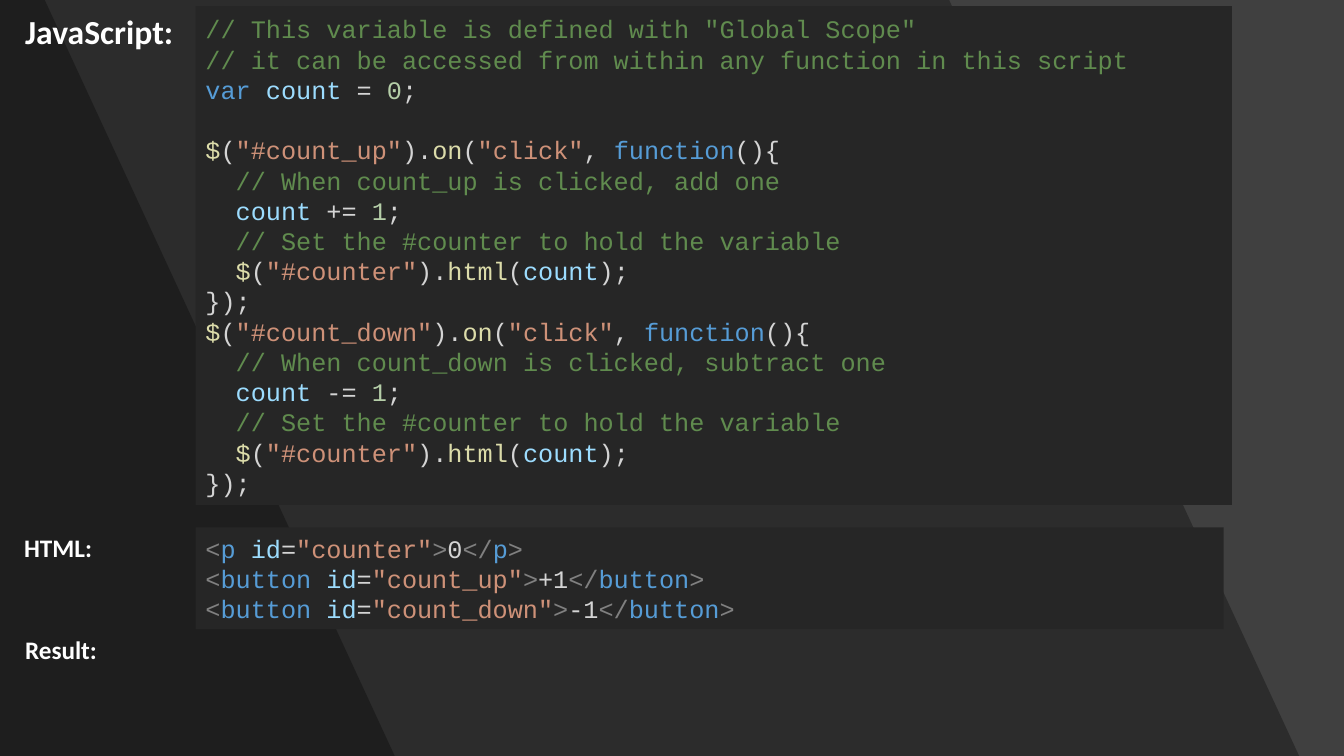
from lxml import etree
from pptx import Presentation
from pptx.dml.color import RGBColor
from pptx.enum.shapes import MSO_SHAPE
from pptx.enum.text import MSO_ANCHOR, PP_ALIGN
from pptx.oxml.ns import qn
from pptx.util import Pt

RECT = MSO_SHAPE.RECTANGLE
TOP, MIDDLE = MSO_ANCHOR.TOP, MSO_ANCHOR.MIDDLE
LEFT = PP_ALIGN.LEFT
LINE = 21.6

COLORS = {
    "background": "404040",
    "band": "000000",
    "panel": "262626",
    "label": "FFFFFF",
    "comment": "608B4E",
    "keyword": "569CD6",
    "name": "9CDCFE",
    "plain": "D4D4D4",
    "number": "B5CEA8",
    "call": "DCDCAA",
    "string": "CE9178",
    "bracket": "808080",
}


def rgb(key):
    return RGBColor.from_string(COLORS[key])


prs = Presentation()
prs.slide_width, prs.slide_height = Pt(960), Pt(540)
s = prs.slides.add_slide(prs.slide_layouts[6])
s.background.fill.solid()
s.background.fill.fore_color.rgb = rgb("background")

for top_right, bottom_right in [(678.24, 928.08), (31.68, 282.24)]:
    fb = s.shapes.build_freeform(0, 0, scale=Pt(1))
    fb.add_line_segments([(top_right, 0), (bottom_right, 540), (0, 540)], close=True)
    sp = fb.convert_to_shape()
    sp.shadow.inherit = False
    sp.fill.solid()
    sp.fill.fore_color.rgb = rgb("band")
    sp.line.fill.background()
    color = sp.fill._xPr.find(".//" + qn("a:srgbClr"))
    etree.SubElement(color, qn("a:alpha"), val="30000")

for text, x, y, w, h, size in [
    ("JavaScript:", 10.8, 4.3, 121.7, 36, 24),
    ("HTML:", 10.1, 376.6, 63.4, 28.8, 18),
    ("Result:", 10.8, 449.3, 66.2, 28.8, 18),
]:
    sp = s.shapes.add_textbox(Pt(x), Pt(y), Pt(w), Pt(h))
    tf = sp.text_frame
    tf.word_wrap = False
    tf.vertical_anchor = TOP
    p = tf.paragraphs[0]
    p.text = text
    p.font.name, p.font.size, p.font.bold = "Calibri", Pt(size), True
    p.font.color.rgb = rgb("label")

script = [
    [("comment", '// This variable is defined with "Global Scope"')],
    [("comment", "// it can be accessed from within any function in this script")],
    [("keyword", "var "), ("name", "count"), ("plain", " = "), ("number", "0"), ("plain", ";")],
]
gap_line = len(script)
for button, action, operator in [
    ("count_up", "add", "+="),
    ("count_down", "subtract", "-="),
]:
    script += [
        [("call", "$"), ("plain", "("), ("string", f'"#{button}"'), ("plain", ")."),
         ("call", "on"), ("plain", "("), ("string", '"click"'), ("plain", ", "),
         ("keyword", "function"), ("plain", "(){")],
        [("comment", f"  // When {button} is clicked, {action} one")],
        [("name", "  count"), ("plain", f" {operator} "), ("number", "1"), ("plain", ";")],
        [("comment", "  // Set the #counter to hold the variable")],
        [("call", "  $"), ("plain", "("), ("string", '"#counter"'), ("plain", ")."),
         ("call", "html"), ("plain", "("), ("name", "count"), ("plain", ");")],
        [("plain", "});")],
    ]

markup = [
    [("bracket", "<"), ("keyword", f"{tag} "), ("name", "id"), ("plain", "="),
     ("string", f'"{ident}"'), ("bracket", ">"), ("plain", content),
     ("bracket", "</"), ("keyword", tag), ("bracket", ">")]
    for tag, ident, content in [
        ("p", "counter", "0"),
        ("button", "count_up", "+1"),
        ("button", "count_down", "-1"),
    ]
]

for lines, y, w, h, gap in [
    (script, 4.3, 740.2, 356.4, gap_line),
    (markup, 376.6, 734.4, 72.7, None),
]:
    sp = s.shapes.add_shape(RECT, Pt(139.7), Pt(y), Pt(w), Pt(h))
    sp.shadow.inherit = False
    sp.fill.solid()
    sp.fill.fore_color.rgb = rgb("panel")
    sp.line.fill.background()
    tf = sp.text_frame
    tf.word_wrap = True
    tf.vertical_anchor = MIDDLE
    for i, line in enumerate(lines):
        p = tf.add_paragraph() if i else tf.paragraphs[0]
        p.alignment = LEFT
        p.line_spacing = Pt(LINE)
        p.space_before = Pt(LINE if i == gap else 0)
        p.font.name, p.font.size = "Courier New", Pt(18)
        for kind, text in line:
            r = p.add_run()
            r.text = text
            r.font.color.rgb = rgb(kind)

prs.save("out.pptx")
